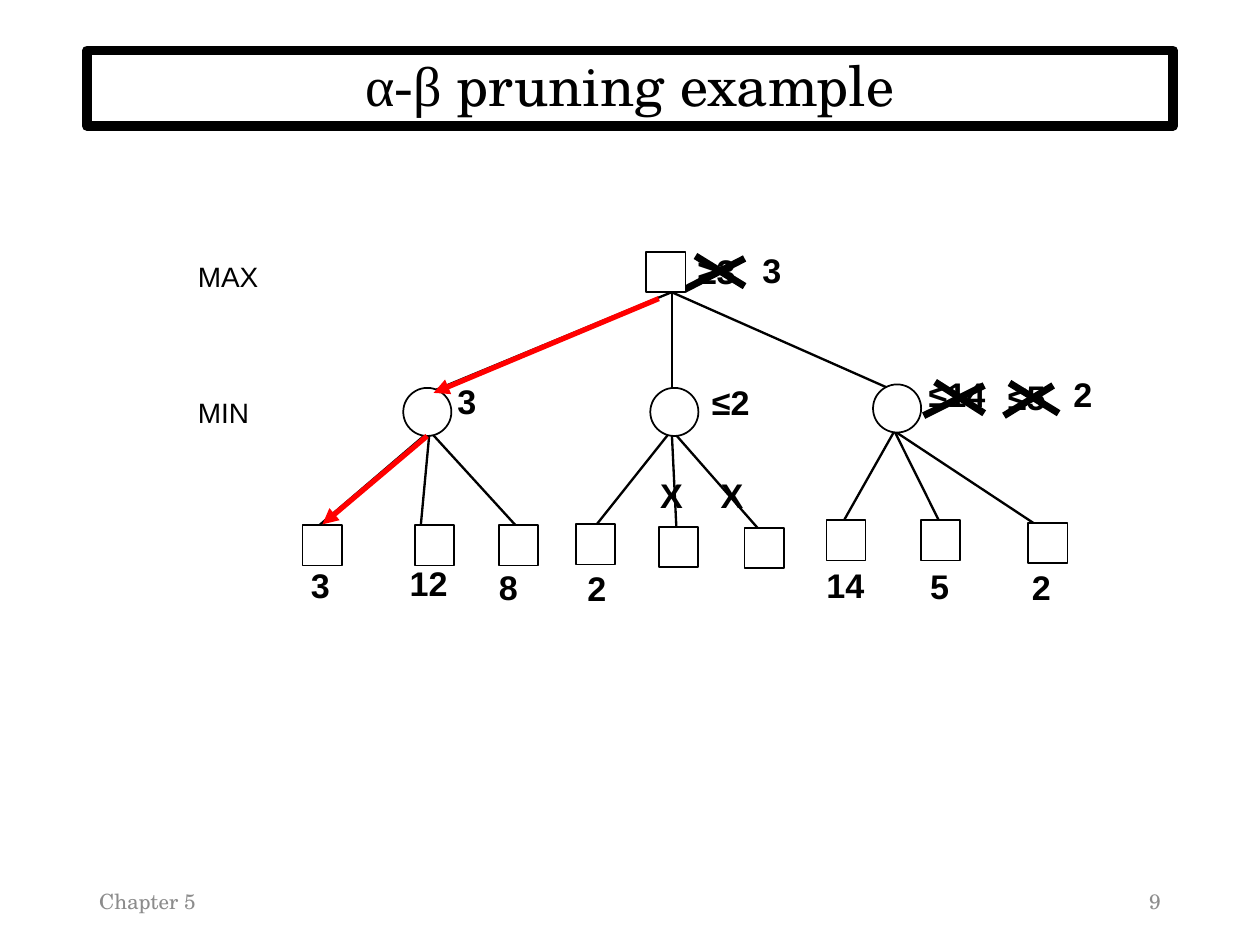
import pptx
import pptx.util
import pptx.dml.color
import pptx.enum.shapes
import pptx.enum.text
from pptx.oxml.ns import qn
from lxml import etree

Cm, Pt = pptx.util.Cm, pptx.util.Pt
SHAPES = pptx.enum.shapes.MSO_SHAPE
ALIGN = pptx.enum.text.PP_ALIGN
ANCHOR = pptx.enum.text.MSO_ANCHOR

# Content: all lengths in centimetres
SERIF, SANS = "TeX Gyre Schola", "Arial"
BLACK, WHITE, GREY, RED = "000000", "FFFFFF", "8C8C8C", "FF0000"
TITLE = [("α-β ", "Times New Roman"), ("pruning example", SERIF)]
FOOTERS = [("Chapter 5", 1.75, ALIGN.LEFT), ("9", 17.93, ALIGN.RIGHT)]

LEVELS = [("MAX", 3.99, 5.18), ("MIN", 3.99, 7.92)]
VALUES = [  # text, left, top, width
    ("≥3", 14.07, 5.0, 1.12), ("3", 15.37, 4.98, 1.17),
    ("3", 9.22, 7.62, 0.46), ("≤2", 14.35, 7.65, 1.12),
    ("≤14", 18.72, 7.49, 1.4), ("≤5", 20.32, 7.54, 1.3), ("2", 21.64, 7.49, 1.17),
    ("3", 6.27, 11.33, 0.46), ("12", 8.26, 11.3, 0.89), ("8", 10.06, 11.38, 0.89),
    ("2", 11.84, 11.4, 0.84),
    ("14", 16.66, 11.33, 1.27), ("5", 18.75, 11.35, 1.17), ("2", 20.8, 11.38, 1.17),
    ("X\tX", 13.31, 9.53, 2.13),
]
PRUNED_TAB = 1.22

MAX_NODES = [(13.03, 5.08)]
MIN_NODES = [(8.13, 7.82), (13.11, 7.82), (17.6, 7.75)]
LEAVES = [(6.1, 10.59), (8.36, 10.59), (10.06, 10.59),
          (11.61, 10.57), (13.28, 10.62), (15.01, 10.64),
          (16.66, 10.49), (18.57, 10.49), (20.73, 10.54)]
SQUARE, CIRCLE = (0.79, 0.81), (0.97, 0.97)

BRANCHES = {  # parent point: child points
    (13.54, 5.89): [(8.64, 7.92), (13.54, 7.9), (18.08, 7.9)],
    (8.66, 8.69): [(6.4, 10.62), (8.48, 10.62), (10.44, 10.64)],
    (13.54, 8.67): [(11.99, 10.62), (13.64, 10.74), (15.27, 10.64)],
    (18.03, 8.69): [(16.94, 10.62), (19.0, 10.64), (20.98, 10.64)],
}
CROSS_STROKES = [
    ((13.79, 5.84), (15.01, 5.21)), ((14.02, 5.16), (15.01, 5.77)),
    ((18.62, 8.38), (19.84, 7.77)), ((18.85, 7.7), (19.84, 8.33)),
    ((20.24, 8.38), (21.23, 7.77)), ((20.35, 7.72), (21.34, 8.33)),
]
BEST_PATH = [((13.28, 6.02), (8.74, 7.92)), ((8.61, 8.79), (6.5, 10.57))]


def color(hex_text):
    return pptx.dml.color.RGBColor.from_string(hex_text)


def set_font(font, name, size, hex_text, bold=False):
    font.name, font.size, font.bold = name, Pt(size), bold
    font.color.rgb = color(hex_text)


def add_text(slide, text, box, name, size, hex_text=BLACK, bold=False,
             align=ALIGN.LEFT, anchor=ANCHOR.TOP, inset=(0, 0.04), tab=None):
    shape = slide.shapes.add_textbox(*map(Cm, box))
    frame = shape.text_frame
    frame.word_wrap = True
    frame.vertical_anchor = anchor
    frame.margin_left = frame.margin_right = Cm(inset[0])
    frame.margin_top = frame.margin_bottom = Cm(inset[1])
    paragraph = frame.paragraphs[0]
    paragraph.text = text
    paragraph.alignment = align
    if tab:
        tabs = etree.SubElement(paragraph._p.get_or_add_pPr(), qn("a:tabLst"))
        etree.SubElement(tabs, qn("a:tab"), pos=str(Cm(tab)), algn="l")
    set_font(paragraph.font, name, size, hex_text, bold)


def add_line(slide, start, end, width, hex_text=BLACK, arrow=False):
    line = slide.shapes.add_connector(
        pptx.enum.shapes.MSO_CONNECTOR.STRAIGHT, *map(Cm, start + end))
    line.line.width = Pt(width)
    line.line.color.rgb = color(hex_text)
    properties = line._element.spPr
    if arrow:
        etree.SubElement(properties.find(qn("a:ln")), qn("a:tailEnd"), type="triangle")
    etree.SubElement(properties, qn("a:effectLst"))


def add_node(slide, kind, position, size):
    shape = slide.shapes.add_shape(kind, *map(Cm, position + size))
    shape.shadow.inherit = False
    shape.fill.solid()
    shape.fill.fore_color.rgb = color(WHITE)
    shape.line.color.rgb = color(BLACK)
    shape.line.width = Pt(1)


def add_title(slide):
    title = slide.shapes.title
    title.left, title.top, title.width, title.height = map(Cm, (1.75, 1.02, 21.9, 1.52))
    title.line.color.rgb = color(BLACK)
    title.line.width = Pt(5.5)
    title.text_frame.vertical_anchor = ANCHOR.MIDDLE
    paragraph = title.text_frame.paragraphs[0]
    paragraph.alignment = ALIGN.CENTER
    paragraph.line_spacing = 0.9
    for text, name in TITLE:
        run = paragraph.add_run()
        run.text = text
        set_font(run.font, name, 32, BLACK)


def main():
    presentation = pptx.Presentation()
    presentation.slide_width, presentation.slide_height = Cm(25.4), Cm(19.05)
    slide = presentation.slides.add_slide(presentation.slide_layouts[5])

    # Title and footer
    add_title(slide)
    for text, left, align in FOOTERS:
        add_text(slide, text, (left, 17.65, 5.72, 1.02), SERIF, 12, GREY,
                 align=align, anchor=ANCHOR.MIDDLE, inset=(0.25, 0.13))

    # Tree branches
    for parent, children in BRANCHES.items():
        for child in children:
            add_line(slide, parent, child, 1.34)

    # Level names and node values
    for text, left, top in LEVELS:
        add_text(slide, text, (left, top, 1.4, 0.76), SANS, 16, inset=(0, 0.06))
    for text, left, top, width in VALUES:
        add_text(slide, text, (left, top, width, 0.88), SANS, 19.5, bold=True,
                 tab=PRUNED_TAB if "\t" in text else None)

    # Crossed-out bounds
    for start, end in CROSS_STROKES:
        add_line(slide, start, end, 4)

    # Nodes
    for position in MAX_NODES + LEAVES:
        add_node(slide, SHAPES.RECTANGLE, position, SQUARE)
    for position in MIN_NODES:
        add_node(slide, SHAPES.OVAL, position, CIRCLE)

    # Best path
    for start, end in BEST_PATH:
        add_line(slide, start, end, 3, RED, arrow=True)

    presentation.save("out.pptx")


if __name__ == "__main__":
    main()
